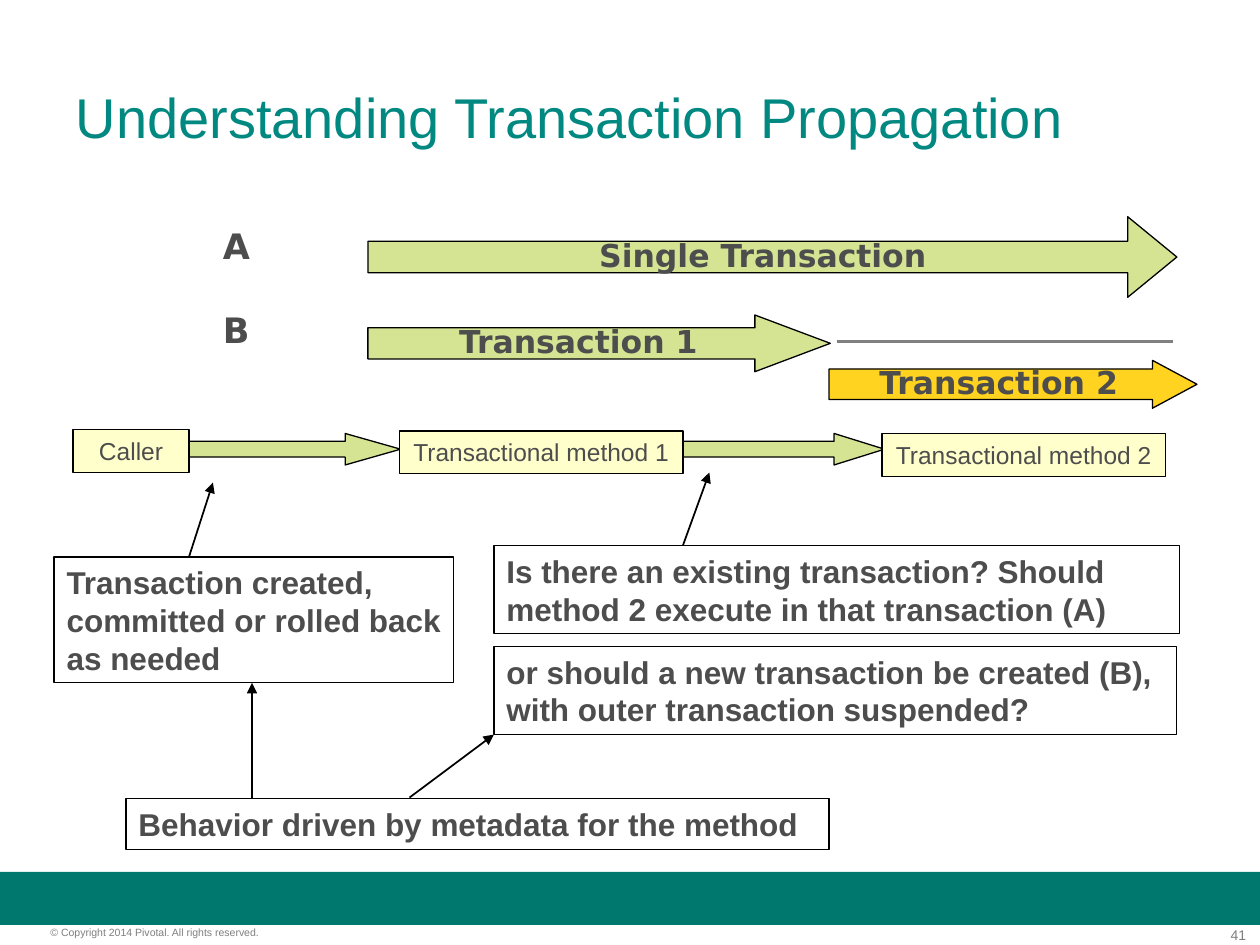
from dataclasses import dataclass

from lxml.etree import SubElement
from pptx import Presentation
from pptx.dml.color import RGBColor
from pptx.enum.shapes import MSO_CONNECTOR, MSO_SHAPE
from pptx.enum.text import MSO_ANCHOR, PP_ALIGN
from pptx.oxml.ns import qn
from pptx.util import Inches, Pt


@dataclass(frozen=True)
class Theme:
    """Colours, fonts and type sizes of the slide."""
    teal: str = "008881"
    band: str = "00786E"
    ink: str = "4D4D4D"
    muted: str = "7F7F7F"
    rule: str = "808080"
    outline: str = "000000"
    green: str = "D5E493"
    amber: str = "FFD320"
    cream: str = "FFFFCC"
    body_font: str = "Arial"
    diagram_font: str = "DejaVu Sans"
    title_size: float = 32
    letter_size: float = 20
    note_size: float = 18
    step_size: float = 14
    number_size: float = 8
    copyright_size: float = 6
    border: float = 0.75
    pointer: float = 1


class PropagationSlide:
    """Holds the theme and the slide, with one method per kind of element."""

    def __init__(self, deck, theme):
        self.theme = theme
        self.slide = deck.slides.add_slide(deck.slide_layouts[5])

    def add_lines(self, frame, lines, size, color=None, font=None, bold=False,
                  align=PP_ALIGN.LEFT, spacing=None):
        """Fill a text frame with one styled run per paragraph."""
        for index, line in enumerate(lines):
            paragraph = frame.add_paragraph() if index else frame.paragraphs[0]
            paragraph.alignment = align
            if spacing:
                paragraph.line_spacing = spacing
            run = paragraph.add_run()
            run.text = line
            run.font.size = Pt(size)
            run.font.name = font or self.theme.body_font
            run.font.bold = bold
            run.font.color.rgb = RGBColor.from_string(color or self.theme.ink)

    def title(self, text, left, top, width, height):
        """Place and format the title placeholder."""
        heading = self.slide.shapes.title
        heading.left, heading.top = Inches(left), Inches(top)
        heading.width, heading.height = Inches(width), Inches(height)
        heading.text_frame.vertical_anchor = MSO_ANCHOR.MIDDLE
        self.add_lines(heading.text_frame, [text], self.theme.title_size, self.theme.teal)

    def block(self, preset, left, top, width, height, fill=None, outlined=True):
        """Add a flat preset shape."""
        shape = self.slide.shapes.add_shape(
            preset, Inches(left), Inches(top), Inches(width), Inches(height))
        shape.shadow.inherit = False
        if fill:
            shape.fill.solid()
            shape.fill.fore_color.rgb = RGBColor.from_string(fill)
        else:
            shape.fill.background()
        if outlined:
            shape.line.color.rgb = RGBColor.from_string(self.theme.outline)
            shape.line.width = Pt(self.theme.border)
        else:
            shape.line.fill.background()
        return shape

    def box(self, lines, left, top, width, height, fill=None, **style):
        """Add a bordered box with text from its top edge."""
        frame = self.block(MSO_SHAPE.RECTANGLE, left, top, width, height, fill).text_frame
        frame.word_wrap = True
        frame.vertical_anchor = MSO_ANCHOR.TOP
        self.add_lines(frame, lines, **style)

    def step(self, text, left, top, width):
        """Add a box for one participant in the call chain."""
        self.box([text], left, top, width, 0.34, fill=self.theme.cream,
                 size=self.theme.step_size, align=PP_ALIGN.CENTER)

    def note(self, lines, left, top, width, height):
        """Add a bold explanatory box."""
        self.box(lines, left, top, width, height, size=self.theme.note_size, bold=True)

    def arrow(self, left, top, width, height, shaft, head, fill, text=None):
        """Add a block arrow, with a centred caption if given."""
        shape = self.block(MSO_SHAPE.RIGHT_ARROW, left, top, width, height, fill)
        shape.adjustments[0], shape.adjustments[1] = shaft, head
        if text:
            frame = shape.text_frame
            frame.word_wrap = False
            frame.vertical_anchor = MSO_ANCHOR.MIDDLE
            self.add_lines(frame, [text], self.theme.note_size,
                           font=self.theme.diagram_font, bold=True,
                           align=PP_ALIGN.CENTER, spacing=0.9)

    def label(self, text, left, top, width, height, inset=True, **style):
        """Add free-standing text."""
        frame = self.slide.shapes.add_textbox(
            Inches(left), Inches(top), Inches(width), Inches(height)).text_frame
        frame.word_wrap = True
        if not inset:
            frame.margin_left = frame.margin_right = Inches(0)
            frame.margin_top = frame.margin_bottom = Inches(0)
        self.add_lines(frame, [text], **style)

    def line(self, start, end, color, width, pointed=True):
        """Add a straight line, with an arrowhead at its end if pointed."""
        connector = self.slide.shapes.add_connector(
            MSO_CONNECTOR.STRAIGHT, *(Inches(value) for value in (*start, *end)))
        connector.line.color.rgb = RGBColor.from_string(color)
        connector.line.width = Pt(width)
        properties = connector.element.spPr
        if pointed:
            SubElement(properties.find(qn("a:ln")), qn("a:tailEnd"), type="triangle")
        SubElement(properties, qn("a:effectLst"))


def main():
    """Build the transaction propagation slide."""
    deck = Presentation()
    deck.slide_width, deck.slide_height = Inches(10), Inches(7.5)
    theme = Theme()
    page = PropagationSlide(deck, theme)

    page.block(MSO_SHAPE.RECTANGLE, 0, 6.92, 10, 0.42, theme.band, outlined=False)
    page.label("41", 9.31, 7.35, 0.58, 0.13, inset=False, size=theme.number_size,
               color=theme.muted, align=PP_ALIGN.RIGHT)
    page.label("© Copyright 2014 Pivotal. All rights reserved.", 0.4, 7.35, 2.49, 0.1,
               inset=False, size=theme.copyright_size, color=theme.muted)
    page.title("Understanding Transaction Propagation", 0.5, 0.3, 9, 1.25)

    for letter, top in (("A", 1.77), ("B", 2.44)):
        page.label(letter, 1.67, top, 0.5, 0.4, size=theme.letter_size,
                   font=theme.diagram_font, bold=True, spacing=0.9)
    page.arrow(2.92, 1.72, 6.42, 0.64, 0.39, 0.61, theme.green, "Single Transaction")
    page.arrow(6.58, 2.86, 2.92, 0.38, 0.64, 0.93, theme.amber, "Transaction 2")
    page.arrow(2.92, 2.5, 3.67, 0.45, 0.55, 1.33, theme.green, "Transaction 1")
    page.line((6.64, 2.71), (9.31, 2.71), theme.rule, 0, pointed=False)

    page.arrow(1.42, 3.44, 1.76, 0.25, 0.5, 1.76, theme.green)
    page.arrow(5.42, 3.44, 1.6, 0.25, 0.5, 1.6, theme.green)
    page.step("Caller", 0.58, 3.41, 0.92)
    page.step("Transactional method 1", 3.17, 3.42, 2.25)
    page.step("Transactional method 2", 7, 3.44, 2.25)

    page.note(["Transaction created,", "committed or rolled back as needed"],
              0.43, 4.42, 3.17, 1)
    page.note(["Is there an existing transaction? Should method 2 execute in that "
               "transaction (A)"], 3.92, 4.33, 5.44, 0.7)
    page.note(["or should a new transaction be created (B), with outer transaction "
               "suspended?"], 3.92, 5.13, 5.42, 0.7)
    page.note(["Behavior driven by metadata for the method"], 1, 6.34, 5.58, 0.4)

    pointers = (
        ((1.5, 4.42), (1.69, 3.83)),
        ((5.42, 4.33), (5.63, 3.75)),
        ((2, 6.33), (2, 5.42)),
        ((3.25, 6.33), (3.92, 5.83)),
    )
    for start, end in pointers:
        page.line(start, end, theme.outline, theme.pointer)

    deck.save("out.pptx")


if __name__ == "__main__":
    main()
